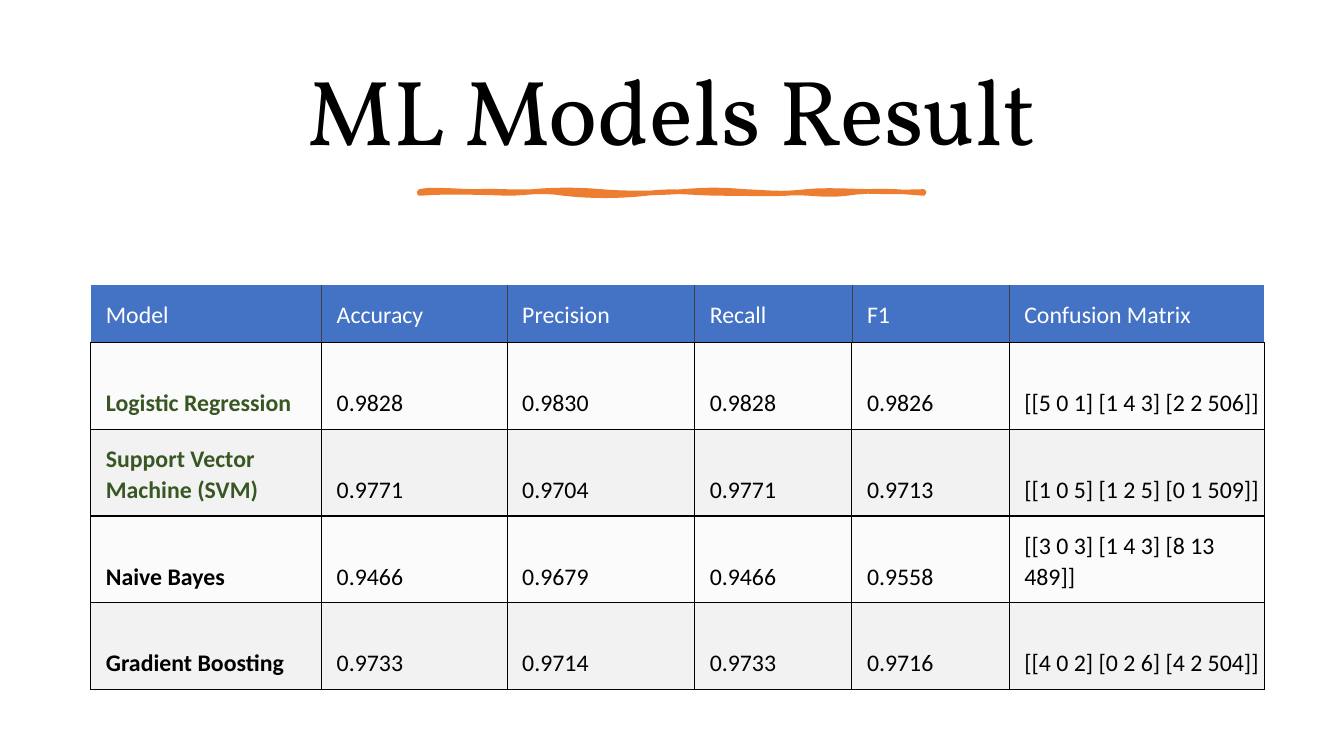
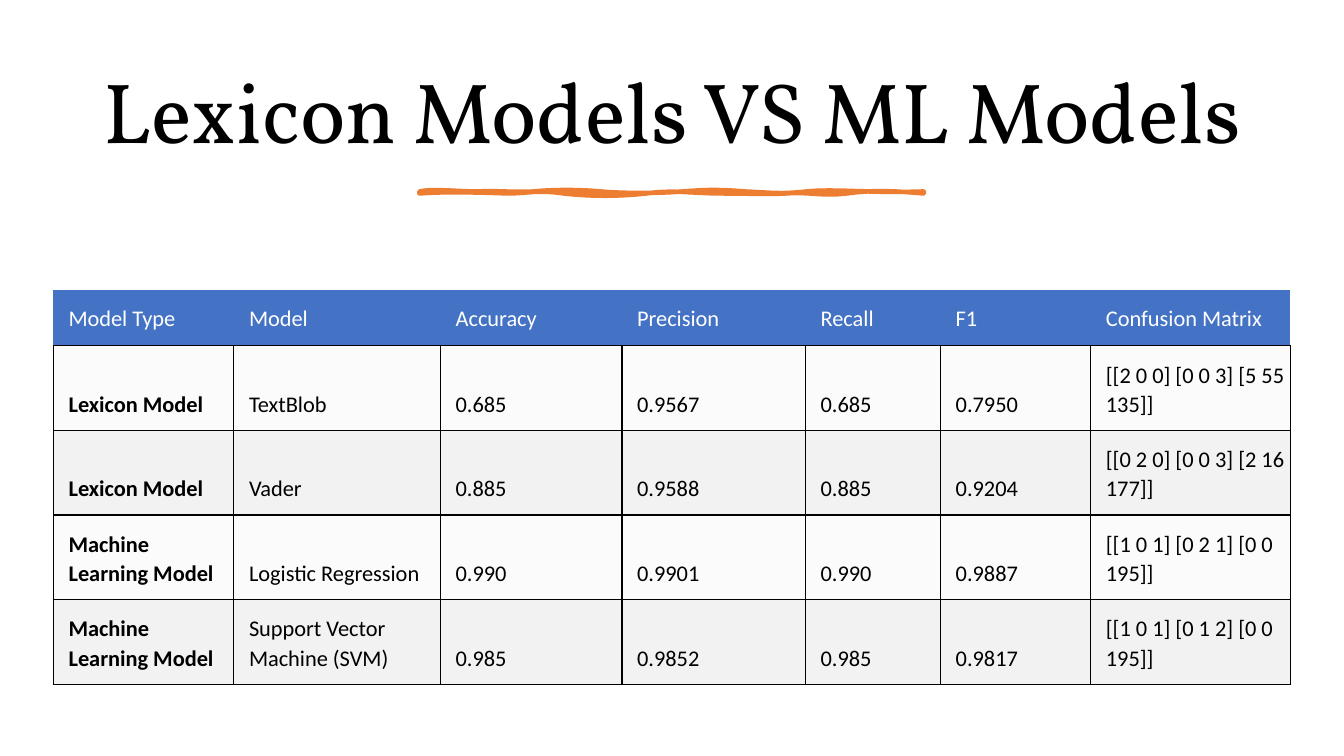
from pptx import Presentation
from pptx.dml.color import RGBColor
from pptx.enum.text import MSO_ANCHOR as ANCHOR, PP_ALIGN as ALIGN
from pptx.oxml.ns import qn
from pptx.util import Inches, Pt
from lxml.etree import SubElement

COLORS = {
    "text": "000000", "white": "FFFFFF", "accent": "ED7D31", "header": "4472C4",
    "row": "F2F2F2", "best": "385723", "header_rule": "404040",
}
TITLE_FONT, BODY_FONT = "Vollkorn", "Calibri"
BORDER = ("text", 1)
LIGHT_ROW_ALPHA = 30

BRUSH_START = (4.16, 1.9)
BRUSH_CURVES = [
    (4.28, 1.87, 4.54, 1.9, 4.73, 1.9), (4.92, 1.89, 5.09, 1.91, 5.29, 1.9),
    (5.49, 1.88, 5.74, 1.88, 5.96, 1.9), (6.17, 1.92, 6.53, 1.92, 6.77, 1.9),
    (7.02, 1.88, 7.14, 1.88, 7.39, 1.9), (7.63, 1.91, 7.74, 1.93, 8, 1.9),
    (8.26, 1.87, 8.67, 1.92, 9.16, 1.9), (9.17, 1.91, 9.16, 1.91, 9.16, 1.92),
    (8.95, 1.9, 8.65, 1.88, 8.4, 1.92), (8.15, 1.95, 8.01, 1.9, 7.79, 1.92),
    (7.56, 1.93, 7.47, 1.92, 7.17, 1.92), (6.87, 1.92, 6.67, 1.88, 6.41, 1.92),
    (6.14, 1.95, 5.85, 1.95, 5.59, 1.92), (5.34, 1.88, 5.23, 1.92, 5.03, 1.92),
    (4.83, 1.91, 4.38, 1.9, 4.16, 1.92),
]
CURVE_STEPS = 8

SLIDES = [
    {
        "title": "ML Models Result", "title_size": 66,
        "at": (0.9, 2.83), "size": 17, "pad": 0.11, "header_rule": ("header_rule", 0.5),
        "cols": [2.29, 1.84, 1.86, 1.56, 1.56, 2.53], "heights": (0.57, 0.86),
        "best_rows": (1, 2),
        "rows": [
            ("Model", "Accuracy", "Precision", "Recall", "F1", "Confusion Matrix"),
            ("Logistic Regression", "0.9828", "0.9830", "0.9828", "0.9826",
             "[[5 0 1] [1 4 3] [2 2 506]]"),
            ("Support Vector Machine (SVM)", "0.9771", "0.9704", "0.9771", "0.9713",
             "[[1 0 5] [1 2 5] [0 1 509]]"),
            ("Naive Bayes", "0.9466", "0.9679", "0.9466", "0.9558",
             "[[3 0 3] [1 4 3] [8 13 489]]"),
            ("Gradient Boosting", "0.9733", "0.9714", "0.9733", "0.9716",
             "[[4 0 2] [0 2 6] [4 2 504]]"),
        ],
    },
    {
        "title": "Lexicon Models VS ML Models", "title_size": 61,
        "at": (0.53, 2.88), "size": 16, "pad": 0.12, "header_rule": None,
        "cols": [1.79, 2.05, 1.8, 1.82, 1.34, 1.49, 1.98], "heights": (0.55, 0.84),
        "best_rows": (),
        "rows": [
            ("Model Type", "Model", "Accuracy", "Precision", "Recall", "F1", "Confusion Matrix"),
            ("Lexicon Model", "TextBlob", "0.685", "0.9567", "0.685", "0.7950",
             "[[2 0 0] [0 0 3] [5 55 135]]"),
            ("Lexicon Model", "Vader", "0.885", "0.9588", "0.885", "0.9204",
             "[[0 2 0] [0 0 3] [2 16 177]]"),
            ("Machine Learning Model", "Logistic Regression", "0.990", "0.9901", "0.990", "0.9887",
             "[[1 0 1] [0 2 1] [0 0 195]]"),
            ("Machine Learning Model", "Support Vector Machine (SVM)", "0.985", "0.9852", "0.985",
             "0.9817", "[[1 0 1] [0 1 2] [0 0 195]]"),
        ],
    },
]


def rgb(name):
    return RGBColor.from_string(COLORS[name])


def add_run(p, text, font, size, color, bold=False):
    r = p.add_run()
    r.text = text
    r.font.name, r.font.size, r.font.bold = font, Pt(size), bold
    r.font.color.rgb = rgb(color)


def add_title(s, text, size):
    tf = s.shapes.add_textbox(Inches(0.7), Inches(0.46), Inches(11.93), Inches(1.37)).text_frame
    tf.word_wrap = True
    tf.vertical_anchor = ANCHOR.MIDDLE
    p = tf.paragraphs[0]
    p.alignment, p.line_spacing = ALIGN.CENTER, 0.9
    add_run(p, text, TITLE_FONT, size, "text")


def brush_points():
    x0, y0 = BRUSH_START
    for x1, y1, x2, y2, x3, y3 in BRUSH_CURVES:
        for i in range(1, CURVE_STEPS + 1):
            t = i / CURVE_STEPS
            u = 1 - t
            a, b, c, d = u ** 3, 3 * u * u * t, 3 * u * t * t, t ** 3
            yield (Inches(a * x0 + b * x1 + c * x2 + d * x3),
                   Inches(a * y0 + b * y1 + c * y2 + d * y3))
        x0, y0 = x3, y3


def add_brush_line(s):
    x, y = BRUSH_START
    fb = s.shapes.build_freeform(Inches(x), Inches(y))
    fb.add_line_segments(brush_points(), close=True)
    sp = fb.convert_to_shape()
    sp.shadow.inherit = False
    sp.fill.solid()
    sp.fill.fore_color.rgb = rgb("accent")
    sp.line.color.rgb = rgb("accent")
    sp.line.width = Pt(3.25)


def set_borders(cell, left, right, top, bottom):
    tcPr = cell._tc.get_or_add_tcPr()
    for side, border in zip("LRTB", (left, right, top, bottom)):
        ln = SubElement(tcPr, qn(f"a:ln{side}"))
        if border:
            color, width = border
            ln.set("w", str(Pt(width)))
            fill = SubElement(ln, qn("a:solidFill"))
            SubElement(fill, qn("a:srgbClr")).set("val", COLORS[color])
        else:
            SubElement(ln, qn("a:noFill"))


def set_fill(cell, color, alpha=None):
    cell.fill.solid()
    cell.fill.fore_color.rgb = rgb(color)
    if alpha:
        clr = cell._tc.tcPr.find(qn("a:solidFill")).find(qn("a:srgbClr"))
        SubElement(clr, qn("a:alpha")).set("val", str(alpha * 1000))


def style_cell(cell, i, j, last, spec):
    if i == 0:
        rule = spec["header_rule"]
        set_borders(cell, rule if j else None, rule if j < last else None, None, BORDER)
        set_fill(cell, "header")
    else:
        set_borders(cell, *[BORDER] * 4)
        set_fill(cell, "row", LIGHT_ROW_ALPHA if i % 2 else None)
    cell.vertical_anchor = ANCHOR.BOTTOM if i else ANCHOR.MIDDLE
    cell.margin_left, cell.margin_right = Inches(0.15), Inches(0.01)
    cell.margin_top = cell.margin_bottom = Inches(spec["pad"])


def fill_cell(cell, text, i, j, spec):
    label = i > 0 and j == 0
    color = "white" if i == 0 else "best" if label and i in spec["best_rows"] else "text"
    p = cell.text_frame.paragraphs[0]
    p.line_spacing, p.space_after = 1.07, Pt(8)
    add_run(p, text, BODY_FONT, spec["size"], color, label)


def add_results(s, spec):
    rows, cols = spec["rows"], spec["cols"]
    head, body = spec["heights"]
    heights = [head] + [body] * (len(rows) - 1)
    x, y = spec["at"]
    table = s.shapes.add_table(len(rows), len(cols), Inches(x), Inches(y),
                               Inches(sum(cols)), Inches(sum(heights))).table
    table.horz_banding = False
    table.first_row = False
    for col, width in zip(table.columns, cols):
        col.width = Inches(width)
    for i, (values, height) in enumerate(zip(rows, heights)):
        table.rows[i].height = Inches(height)
        for j, text in enumerate(values):
            cell = table.cell(i, j)
            style_cell(cell, i, j, len(cols) - 1, spec)
            fill_cell(cell, text, i, j, spec)


def main():
    prs = Presentation()
    prs.slide_width, prs.slide_height = Inches(13.33), Inches(7.5)
    for spec in SLIDES:
        s = prs.slides.add_slide(prs.slide_layouts[6])
        add_title(s, spec["title"], spec["title_size"])
        add_brush_line(s)
        add_results(s, spec)
    prs.save("out.pptx")


if __name__ == "__main__":
    main()
